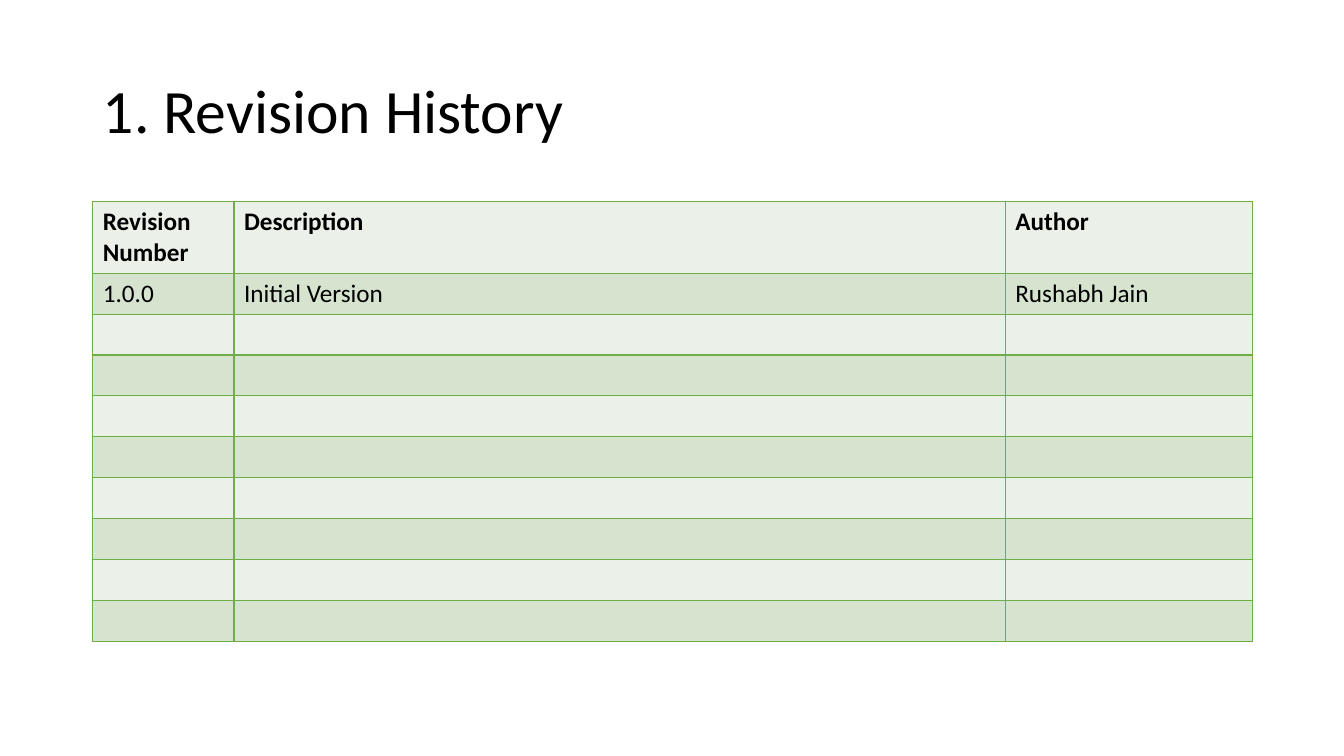
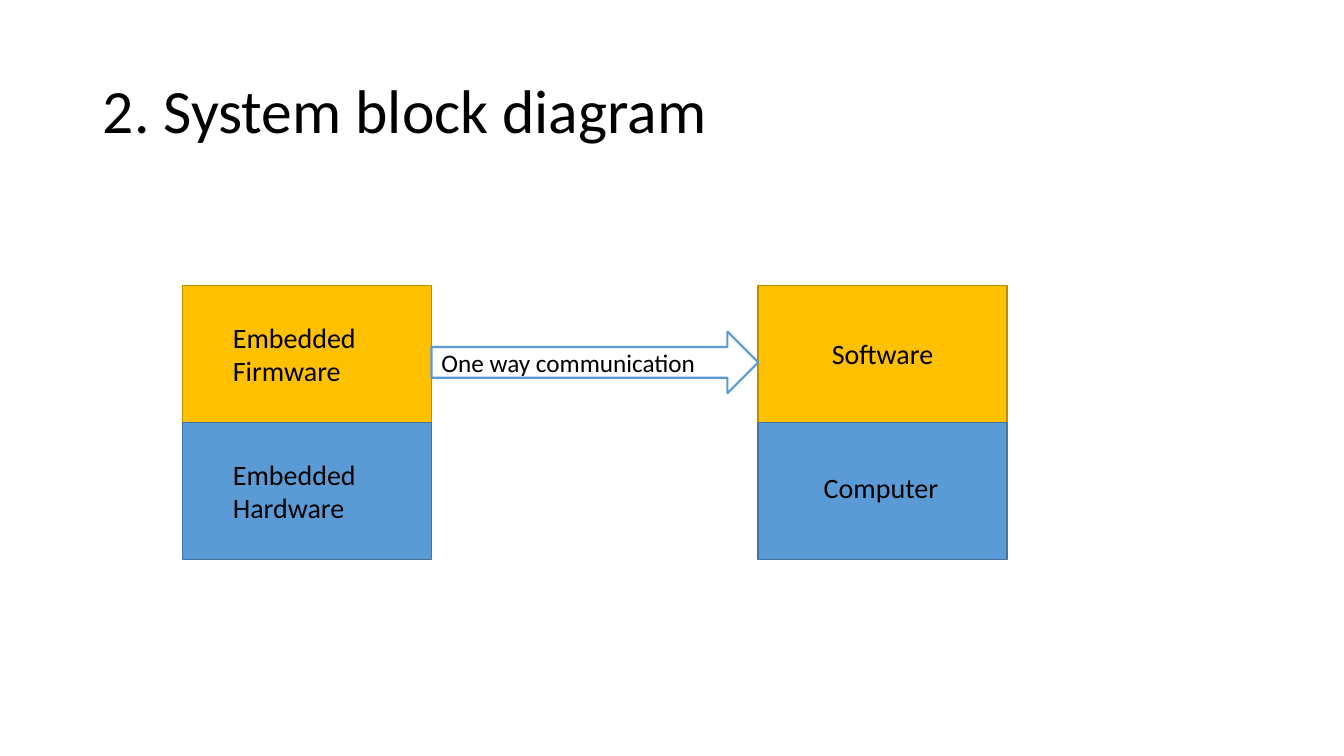
from dataclasses import dataclass

from lxml.etree import SubElement
from pptx import Presentation
from pptx.dml.color import RGBColor
from pptx.enum.shapes import MSO_SHAPE
from pptx.enum.text import MSO_ANCHOR, PP_ALIGN
from pptx.oxml.ns import qn
from pptx.util import Inches, Pt


@dataclass(frozen=True)
class Theme:
    font: str = "Calibri"
    text: str = "000000"
    white: str = "FFFFFF"
    grid: str = "70AD47"
    bands: tuple = ("EBF1E9", "D5E3CF")
    blue: str = "5B9BD5"
    blue_edge: str = "43739E"
    gold: str = "FFC000"
    gold_edge: str = "BD8E00"
    title_size: int = 44
    block_size: int = 20
    body_size: int = 18


THEME = Theme()

REVISION_TITLE = "1. Revision History"
REVISION_ROWS = [
    ("Revision Number", "Description", "Author"),
    ("1.0.0", "Initial Version", "Rushabh Jain"),
]
ROW_COUNT = 10
COLUMN_WIDTHS = (1.4, 7.65, 2.45)
TABLE_LEFT, TABLE_TOP, TABLE_HEIGHT, HEADER_HEIGHT = 0.92, 2, 4.35, 0.7

DIAGRAM_TITLE = "2. System block diagram"
# Each stack: left edge, then (label, left inset, extra bottom inset) from top to bottom
STACKS = [
    (1.81, [("Embedded Firmware", 0.5, 0), ("Embedded Hardware", 0.5, 0)]),
    (7.52, [("Software", 0.73, 0), ("Computer", 0.65, 0.08)]),
]
LAYER_COLORS = [(THEME.gold, THEME.gold_edge), (THEME.blue, THEME.blue_edge)]
BLOCK_WIDTH, BLOCK_HEIGHT, STACK_TOP = 2.47, 1.36, 2.83
ARROW_LABEL = "One way communication"
ARROW_TOP, ARROW_HEIGHT = 3.29, 0.61


def color(value):
    return RGBColor.from_string(value)


def write(frame, text, size, bold=False):
    para = frame.paragraphs[0]
    para.alignment = PP_ALIGN.LEFT
    span = para.add_run()
    span.text = text
    span.font.name = THEME.font
    span.font.size = Pt(size)
    span.font.bold = bold
    span.font.color.rgb = color(THEME.text)
    return para


def add_titled_page(deck, text):
    page = deck.slides.add_slide(deck.slide_layouts[5])
    title = page.shapes.title
    title.left, title.top = Inches(0.92), Inches(0.4)
    title.width, title.height = Inches(11.5), Inches(1.45)
    title.text_frame.vertical_anchor = MSO_ANCHOR.MIDDLE
    write(title.text_frame, text, THEME.title_size).line_spacing = 0.9
    return page


def add_borders(cell):
    properties = cell._tc.get_or_add_tcPr()
    for side in ("a:lnL", "a:lnR", "a:lnT", "a:lnB"):
        line = SubElement(properties, qn(side), w=str(Pt(1)))
        fill = SubElement(line, qn("a:solidFill"))
        SubElement(fill, qn("a:srgbClr"), val=THEME.grid)


def add_revision_table(page):
    table = page.shapes.add_table(
        ROW_COUNT, len(COLUMN_WIDTHS), Inches(TABLE_LEFT), Inches(TABLE_TOP),
        Inches(sum(COLUMN_WIDTHS)), Inches(TABLE_HEIGHT)).table
    for column, width in zip(table.columns, COLUMN_WIDTHS):
        column.width = Inches(width)
    body_height = (TABLE_HEIGHT - HEADER_HEIGHT) / (ROW_COUNT - 1)
    for index, row in enumerate(table.rows):
        row.height = Inches(body_height if index else HEADER_HEIGHT)
        for cell in row.cells:
            add_borders(cell)
            cell.fill.solid()
            cell.fill.fore_color.rgb = color(THEME.bands[index % 2])
    for index, texts in enumerate(REVISION_ROWS):
        for cell, text in zip(table.rows[index].cells, texts):
            write(cell.text_frame, text, THEME.body_size, bold=index == 0)


def add_labelled_shape(page, kind, bounds, fill, edge, edge_width, label, size, insets):
    """Bounds and insets are in inches; insets run left, top, right, bottom."""
    box = page.shapes.add_shape(kind, *map(Inches, bounds))
    box.shadow.inherit = False
    box.fill.solid()
    box.fill.fore_color.rgb = color(fill)
    box.line.color.rgb = color(edge)
    box.line.width = Pt(edge_width)
    frame = box.text_frame
    frame.word_wrap = True
    frame.vertical_anchor = MSO_ANCHOR.MIDDLE
    (frame.margin_left, frame.margin_top,
     frame.margin_right, frame.margin_bottom) = map(Inches, insets)
    write(frame, label, size)


def add_block_diagram(page):
    for left, layers in STACKS:
        for index, (label, inset, lift) in enumerate(layers):
            top = STACK_TOP + index * BLOCK_HEIGHT
            add_labelled_shape(
                page, MSO_SHAPE.RECTANGLE, (left, top, BLOCK_WIDTH, BLOCK_HEIGHT),
                *LAYER_COLORS[index], 1, label, THEME.block_size,
                (inset, 0.05, 0.5, 0.05 + lift))
    arrow_left = STACKS[0][0] + BLOCK_WIDTH
    arrow_width = STACKS[1][0] - arrow_left
    add_labelled_shape(
        page, MSO_SHAPE.RIGHT_ARROW, (arrow_left, ARROW_TOP, arrow_width, ARROW_HEIGHT),
        THEME.white, THEME.blue, 1.5, ARROW_LABEL, THEME.body_size, (0.1, 0, 0, 0))


def main():
    deck = Presentation()
    deck.slide_width, deck.slide_height = Inches(13.33), Inches(7.5)
    add_revision_table(add_titled_page(deck, REVISION_TITLE))
    add_block_diagram(add_titled_page(deck, DIAGRAM_TITLE))
    deck.save("out.pptx")


if __name__ == "__main__":
    main()
